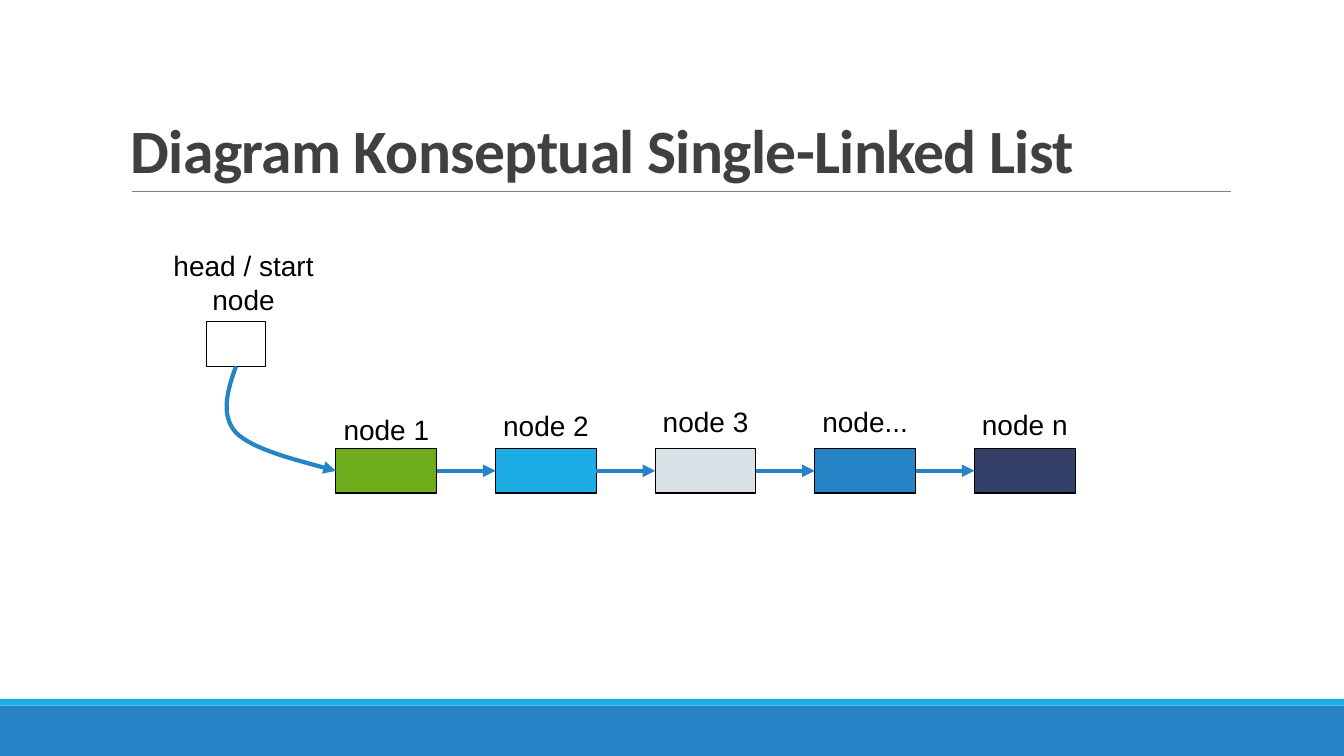
from pptx import Presentation
from pptx.dml.color import RGBColor
from pptx.enum.shapes import MSO_CONNECTOR, MSO_SHAPE
from pptx.enum.text import MSO_ANCHOR, PP_ALIGN
from pptx.oxml.ns import qn
from pptx.util import Inches, Pt

RECT = MSO_SHAPE.RECTANGLE
STRAIGHT = MSO_CONNECTOR.STRAIGHT
TOP, BOTTOM = MSO_ANCHOR.TOP, MSO_ANCHOR.BOTTOM
LEFT, CENTER = PP_ALIGN.LEFT, PP_ALIGN.CENTER

BLACK = RGBColor(0x00, 0x00, 0x00)
DARK = RGBColor(0x40, 0x40, 0x40)
GRAY = RGBColor(0x80, 0x80, 0x80)
PALE = RGBColor(0xD9, 0xE0, 0xE6)
GREEN = RGBColor(0x6E, 0xAC, 0x1C)
SKY = RGBColor(0x1C, 0xAD, 0xE4)
BLUE = RGBColor(0x26, 0x83, 0xC6)
NAVY = RGBColor(0x34, 0x40, 0x68)

COLS, ROWS = 160, 90  # square grid cells, twelve to the inch


def cell(count):
    return Inches(count / 12)


def curve(start, bends, steps=16):
    """Points along a chain of cubic curves."""
    points = [start]
    for a, b, end in bends:
        for i in range(1, steps + 1):
            t = i / steps
            u = 1 - t
            points.append(tuple(
                u**3 * p + 3 * u * u * t * q + 3 * u * t * t * r + t**3 * s
                for p, q, r, s in zip(start, a, b, end)))
        start = end
    return points


class Board:
    font = "Arial"
    size = 20

    def __init__(self, deck):
        self.slide = deck.slides.add_slide(deck.slide_layouts[6])
        self.shapes = self.slide.shapes

    def box(self, x, y, w, h, fill=None, line=None):
        shape = self.shapes.add_shape(RECT, *map(cell, (x, y, w, h)))
        shape.shadow.inherit = False
        if fill is None:
            shape.fill.background()
        else:
            shape.fill.solid()
            shape.fill.fore_color.rgb = fill
        if line is None:
            shape.line.fill.background()
        else:
            self.stroke(shape, line, 0.75)

    def stroke(self, shape, color, width, arrow=False):
        shape.line.color.rgb = color
        shape.line.width = Pt(width)
        if arrow:
            ln = shape.line._get_or_add_ln()
            tip = ln.makeelement(qn("a:tailEnd"), {"type": "triangle"})
            ln.append(tip)

    def rule(self, x, y, end, color, width, arrow=False):
        line = self.shapes.add_connector(
            STRAIGHT, cell(x), cell(y), cell(end), cell(y))
        self.stroke(line, color, width, arrow)
        props = line._element.spPr
        props.append(props.makeelement(qn("a:effectLst"), {}))

    def bend(self, points, color, width):
        spots = [(cell(x), cell(y)) for x, y in points]
        form = self.shapes.build_freeform(*spots[0])
        form.add_line_segments(spots[1:], close=False)
        shape = form.convert_to_shape()
        shape.shadow.inherit = False
        shape.fill.background()
        self.stroke(shape, color, width, arrow=True)

    def text(self, words, x, y, w, h, font=None, size=None, color=BLACK,
             bold=False, align=CENTER, anchor=TOP, space=1, track=0):
        frame = self.shapes.add_textbox(*map(cell, (x, y, w, h))).text_frame
        frame.word_wrap = True
        frame.vertical_anchor = anchor
        para = frame.paragraphs[0]
        para.alignment = align
        para.line_spacing = space
        run = para.add_run()
        run.text = words
        run.font.name = font or self.font
        run.font.size = Pt(size or self.size)
        run.font.bold = bold
        run.font.color.rgb = color
        if track:
            run._r.get_or_add_rPr().set("spc", str(round(track * 100)))


def main():
    deck = Presentation()
    deck.slide_width, deck.slide_height = cell(COLS), cell(ROWS)
    board = Board(deck)

    # Footer bands
    board.box(0, 84, COLS, 6, BLUE)
    board.box(0, 83.2, COLS, 0.8, SKY)

    # Title and its rule
    board.rule(15.7, 22.8, 146.5, GRAY, 0.5)
    board.text("Diagram Konseptual Single-Linked List", 14.4, 3.7, 132, 19.1,
               font="Calibri", size=44, color=DARK, bold=True, align=LEFT,
               anchor=BOTTOM, space=0.85, track=-0.5)

    # Chain of nodes: name, fill, top of label
    nodes = [
        ("node 1", GREEN, 48.5),
        ("node 2", SKY, 48.1),
        ("node 3", PALE, 47.6),
        ("node...", BLUE, 47.6),
        ("node n", NAVY, 47.9),
    ]
    first, top, wide, high, step = 40, 53.4, 12, 5.3, 19
    mid = top + high / 2
    for i, (name, fill, label) in enumerate(nodes):
        x = first + i * step
        board.box(x, top, wide, high, fill, BLACK)
        board.text(name, x - 0.9, label, wide + 1.8, high)
        if i:
            board.rule(x - step + wide, mid, x, BLUE, 3, arrow=True)

    # Head pointer
    board.text("head / start node", 19.1, 29, 19.8, 9.2)
    board.box(24.6, 38.3, 7, high, line=BLACK)
    board.bend(curve((28.1, 43.6), [
        ((27.1, 46.4), (26.2, 49.4), (28.1, 51.5)),
        ((30.1, 53.5), (35, 54.7), (first, mid)),
    ]), BLUE, 3)

    deck.save("out.pptx")


if __name__ == "__main__":
    main()
